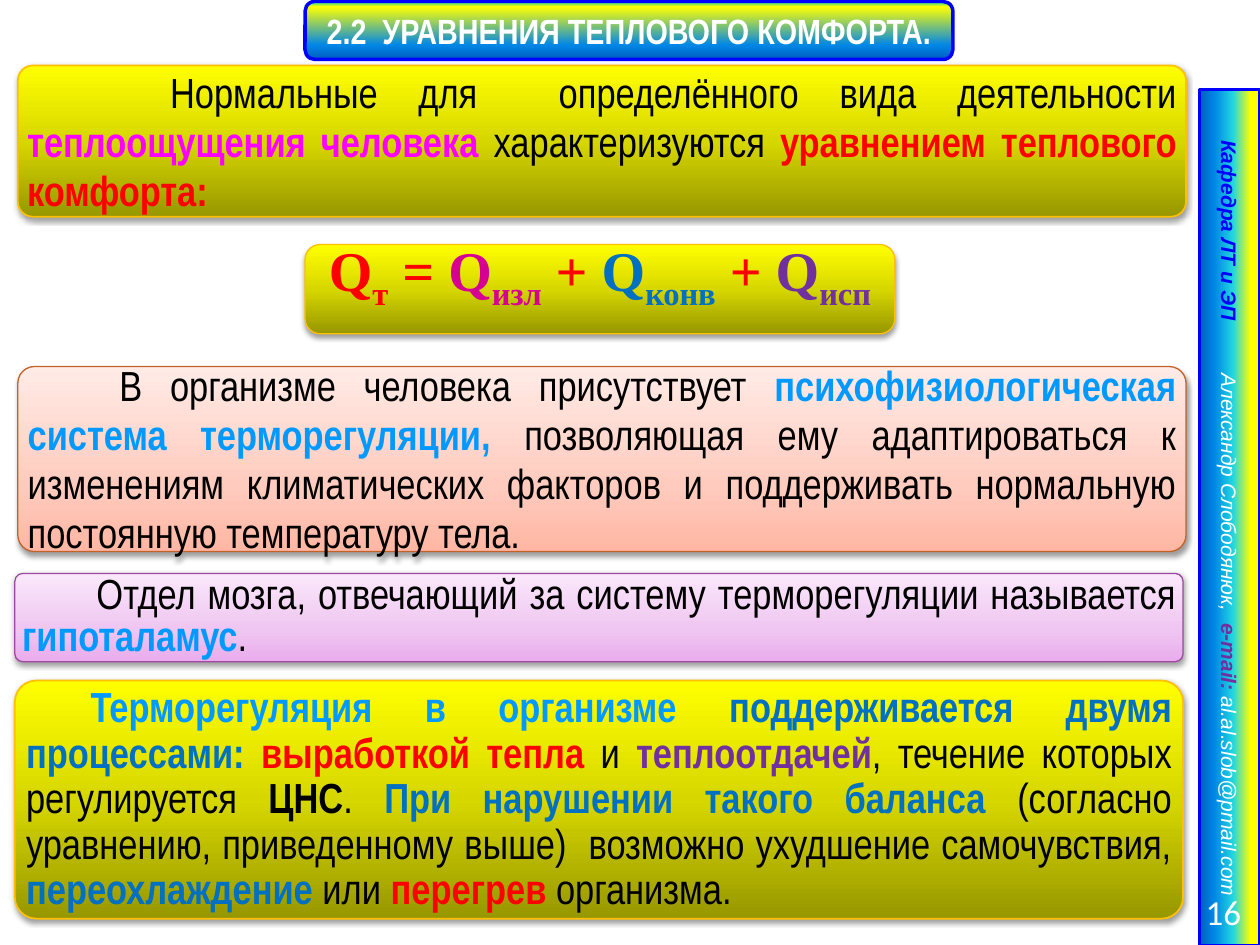
from dataclasses import dataclass
from typing import Optional

from lxml.etree import SubElement
from pptx import Presentation
from pptx.dml.color import RGBColor
from pptx.enum.shapes import MSO_SHAPE
from pptx.enum.text import MSO_ANCHOR, PP_ALIGN
from pptx.oxml import parse_xml
from pptx.oxml.ns import nsdecls, qn
from pptx.util import Cm, Pt


@dataclass(frozen=True)
class Theme:
    narrow: str = "Arial Narrow"
    serif: str = "Times New Roman"
    sans: str = "Arial"
    number: str = "Calibri"
    title_size: int = 20
    body_size: int = 24
    formula_size: int = 32
    sidebar_size: int = 12
    black: str = "000000"
    white: str = "FFFFFF"
    red: str = "FF0000"
    magenta: str = "FF00FF"
    crimson: str = "D60093"
    sky: str = "0099FF"
    blue: str = "0070C0"
    pure_blue: str = "0000FF"
    purple: str = "7030A0"
    title_fill: tuple = ((0, "03D4A8"), (9, "FFFF00"), (75, "0087E6"), (100, "005CBF"))
    sidebar_fill: tuple = ((15, "FFFF00"), (44, "21D6E0"), (75, "0087E6"), (100, "005CBF"))
    yellow_fill: tuple = ((0, "979700"), (50, "D7D700"), (100, "FFFF00"))
    peach_fill: tuple = ((0, "FFB6A3"), (35, "FFCBBE"), (100, "FFEBE6"))
    lilac_fill: tuple = ((0, "EAACED"), (35, "EFC5F1"), (100, "FAE8FB"))
    gold_line: str = "FFC000"
    peach_line: str = "C36228"
    lilac_line: str = "9E49A2"


THEME = Theme()


@dataclass(frozen=True)
class Span:
    text: str
    colour: str = THEME.black
    bold: bool = False
    outlined: bool = False
    italic: bool = False
    subscript: bool = False


@dataclass(frozen=True)
class Panel:
    """A gradient panel; box is left, top, width, height in centimetres."""
    box: tuple
    stops: tuple
    line: str
    line_width: float
    spans: list
    font: str = THEME.narrow
    size: int = THEME.body_size
    align: PP_ALIGN = PP_ALIGN.JUSTIFY
    leading: Optional[int] = None
    indent: float = 0
    corner: Optional[float] = 0.09
    geometry: MSO_SHAPE = MSO_SHAPE.ROUNDED_RECTANGLE
    rotation: int = 0
    angle: int = 90
    shadow: bool = True
    left_inset: float = 0.1
    tab: Optional[float] = None


def strong(text: str, colour: str) -> Span:
    return Span(text, colour, bold=True, outlined=True)


def term(index: str, colour: str) -> list[Span]:
    """The heat flow Q with its lower index."""
    return [strong("Q", colour),
            Span(index, colour, bold=True, outlined=True, subscript=True)]


def write_spans(paragraph, spans: list[Span], font: str, size: int) -> None:
    for span in spans:
        run = paragraph.add_run()
        run.text = span.text
        formats = {"name": font, "size": Pt(size), "bold": span.bold, "italic": span.italic}
        for attribute, value in formats.items():
            setattr(run.font, attribute, value)
        run.font.color.rgb = RGBColor.from_string(span.colour)
        properties = run._r.get_or_add_rPr()
        if span.subscript:
            properties.set("baseline", "-25000")
        if span.outlined:
            properties.insert(0, parse_xml(
                f'<a:ln {nsdecls("a")} w="12700"><a:solidFill>'
                f'<a:srgbClr val="{THEME.black}"/></a:solidFill></a:ln>'))


def fill_gradient(shape, stops: tuple, angle: int) -> None:
    shape.fill.gradient()
    shape.fill.gradient_angle = angle
    stop_list = shape._element.spPr.find(qn("a:gradFill")).find(qn("a:gsLst"))
    for default_stop in list(stop_list):
        stop_list.remove(default_stop)
    for position, colour in stops:
        stop = SubElement(stop_list, qn("a:gs"), pos=str(position * 1000))
        SubElement(stop, qn("a:srgbClr"), val=colour)


def cast_shadow(shape) -> None:
    effects = shape._element.spPr.find(qn("a:effectLst"))
    effects.append(parse_xml(
        f'<a:outerShdw {nsdecls("a")} blurRad="40000" dist="20000" dir="5400000" '
        f'rotWithShape="0"><a:srgbClr val="{THEME.black}"><a:alpha val="38000"/>'
        f'</a:srgbClr></a:outerShdw>'))


def draw_panel(slide, panel: Panel) -> None:
    shape = slide.shapes.add_shape(panel.geometry, *map(Cm, panel.box))
    shape.rotation = panel.rotation
    if panel.corner is not None:
        shape.adjustments[0] = panel.corner
    shape.shadow.inherit = False
    fill_gradient(shape, panel.stops, panel.angle)
    shape.line.color.rgb = RGBColor.from_string(panel.line)
    shape.line.width = Pt(panel.line_width)
    if panel.shadow:
        cast_shadow(shape)

    frame_formats = {"word_wrap": True, "vertical_anchor": MSO_ANCHOR.MIDDLE,
                     "margin_left": Cm(panel.left_inset), "margin_right": Cm(0.1),
                     "margin_top": Cm(0.1), "margin_bottom": Cm(0.1)}
    for attribute, value in frame_formats.items():
        setattr(shape.text_frame, attribute, value)
    paragraph = shape.text_frame.paragraphs[0]
    paragraph.alignment = panel.align
    if panel.leading:
        paragraph.line_spacing = Pt(panel.leading)
    properties = paragraph._p.get_or_add_pPr()
    if panel.indent:
        properties.set("marL", "0")
        properties.set("indent", str(Cm(panel.indent)))
    if panel.tab:
        tabs = SubElement(properties, qn("a:tabLst"))
        SubElement(tabs, qn("a:tab"), pos=str(Cm(panel.tab)), algn="l")
    write_spans(paragraph, panel.spans, panel.font, panel.size)


def draw_slide_number(slide, number: str) -> None:
    holder = slide.shapes.add_textbox(Cm(22.5), Cm(17.86), Cm(2.77), Cm(1.02))
    holder.text_frame.word_wrap = True
    holder.text_frame.vertical_anchor = MSO_ANCHOR.MIDDLE
    paragraph = holder.text_frame.paragraphs[0]
    paragraph.alignment = PP_ALIGN.RIGHT
    write_spans(paragraph, [Span(number, THEME.white)], THEME.number, THEME.title_size)


T = THEME
PLUS = strong(" + ", T.red)
PANELS = [
    Panel((6.15, 0.03, 13.06, 1.17), T.title_fill, T.pure_blue, 2,
          [Span("2.2  УРАВНЕНИЯ ТЕПЛОВОГО КОМФОРТА.", T.white, bold=True)],
          size=T.title_size, align=PP_ALIGN.CENTER, corner=0.17, angle=270, shadow=False),
    Panel((6.15, 4.93, 11.89, 1.8), T.yellow_fill, T.gold_line, 0.75,
          [*term("т", T.red), strong(" = ", T.red), *term("изл", T.crimson), PLUS,
           *term("конв", T.blue), PLUS, *term("исп", T.purple)],
          font=T.serif, size=T.formula_size, align=PP_ALIGN.CENTER, leading=26, corner=0.17),
    Panel((16.15, 9.83, 17.27, 1.22), T.sidebar_fill, T.pure_blue, 2,
          [Span("Кафедра ЛТ и ЭП\t", T.pure_blue, bold=True, italic=True),
           Span("Александр Слободянюк,  ", T.white, italic=True),
           Span("e-mail: ", T.purple, bold=True, italic=True),
           Span("al.al.slob@pmail.com", T.white, italic=True)],
          font=T.sans, size=T.sidebar_size, align=PP_ALIGN.LEFT, corner=None,
          geometry=MSO_SHAPE.RECTANGLE, rotation=90, angle=270, shadow=False,
          left_inset=1.02, tab=4.7),
    Panel((0.36, 1.32, 23.55, 3.05), T.yellow_fill, T.gold_line, 1,
          [Span("Нормальные для  определённого вида деятельности "),
           strong("теплоощущения человека ", T.magenta), Span("характеризуются "),
           strong("уравнением теплового комфорта:", T.red)],
          leading=28, indent=2.88, corner=0.1),
    Panel((0.36, 7.39, 23.55, 3.73), T.peach_fill, T.peach_line, 0.75,
          [Span("В организме человека присутствует "),
           strong("психофизиологическая система терморегуляции, ", T.sky),
           Span("позволяющая ему адаптироваться к изменениям климатических факторов "
                "и поддерживать нормальную постоянную температуру тела.")],
          leading=28, indent=1.85),
    Panel((0.3, 13.72, 23.55, 4.8), T.yellow_fill, T.gold_line, 1,
          [strong("Терморегуляция в организме ", T.sky),
           strong("поддерживается двумя процессами: ", T.blue),
           strong("выработкой тепла ", T.red), Span("и "), strong("теплоотдачей", T.purple),
           Span(", течение которых регулируется "), Span("ЦНС", bold=True), Span(". "),
           strong("При нарушении такого баланса ", T.blue),
           Span("(согласно уравнению, приведенному выше)  возможно ухудшение самочувствия, "),
           strong("переохлаждение ", T.blue), Span("или "), strong("перегрев ", T.red),
           Span("организма.")],
          leading=26, indent=1.3),
    Panel((0.3, 11.56, 23.55, 1.78), T.lilac_fill, T.lilac_line, 0.75,
          [Span("Отдел мозга, отвечающий за систему терморегуляции называется "),
           strong("гипоталамус", T.sky), Span(".")],
          leading=24, indent=1.5),
]


def main() -> None:
    presentation = Presentation()
    presentation.slide_width, presentation.slide_height = Cm(25.4), Cm(19.05)
    slide = presentation.slides.add_slide(presentation.slide_layouts[6])
    for panel in PANELS:
        draw_panel(slide, panel)
    draw_slide_number(slide, "16")
    presentation.save("out.pptx")


if __name__ == "__main__":
    main()
